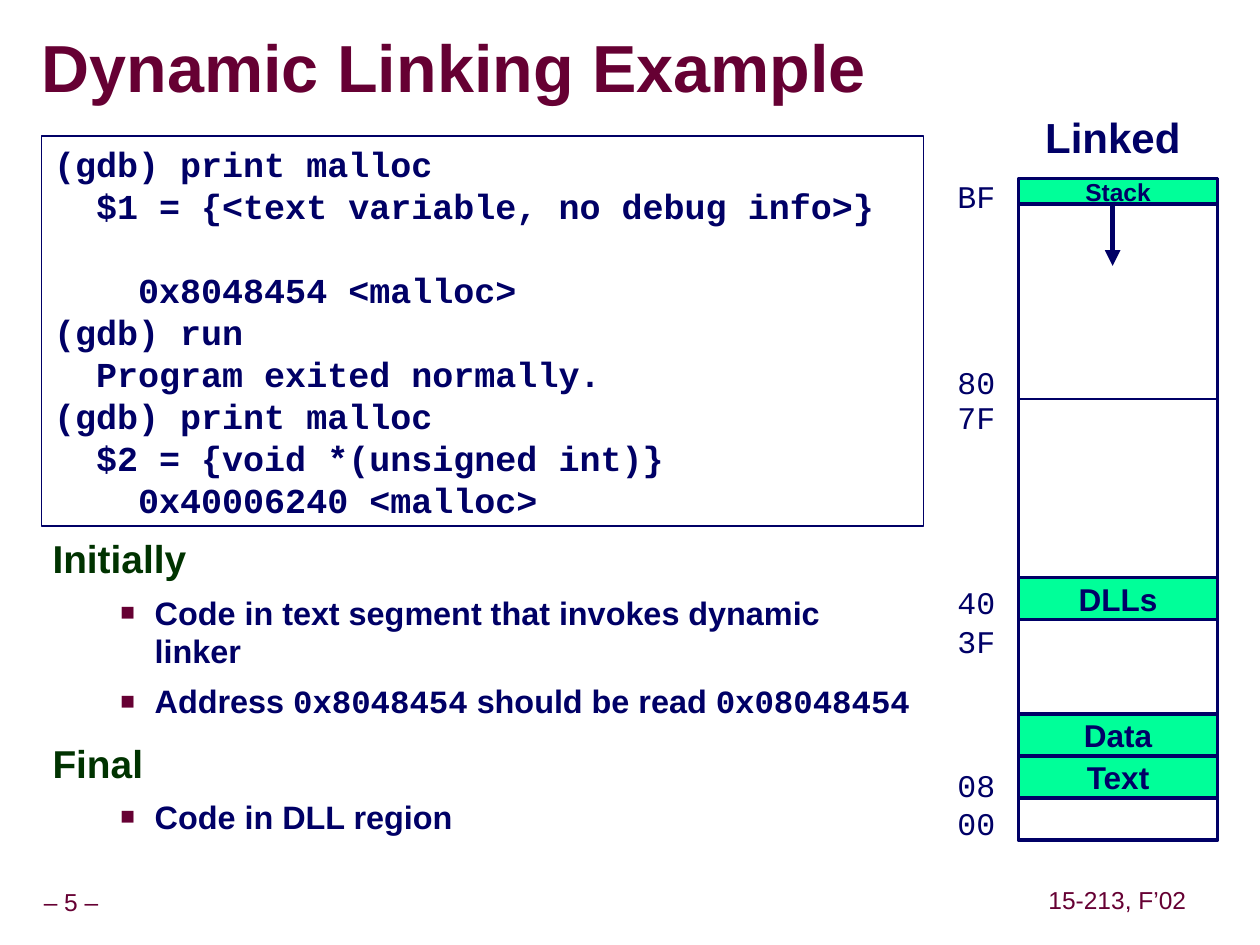
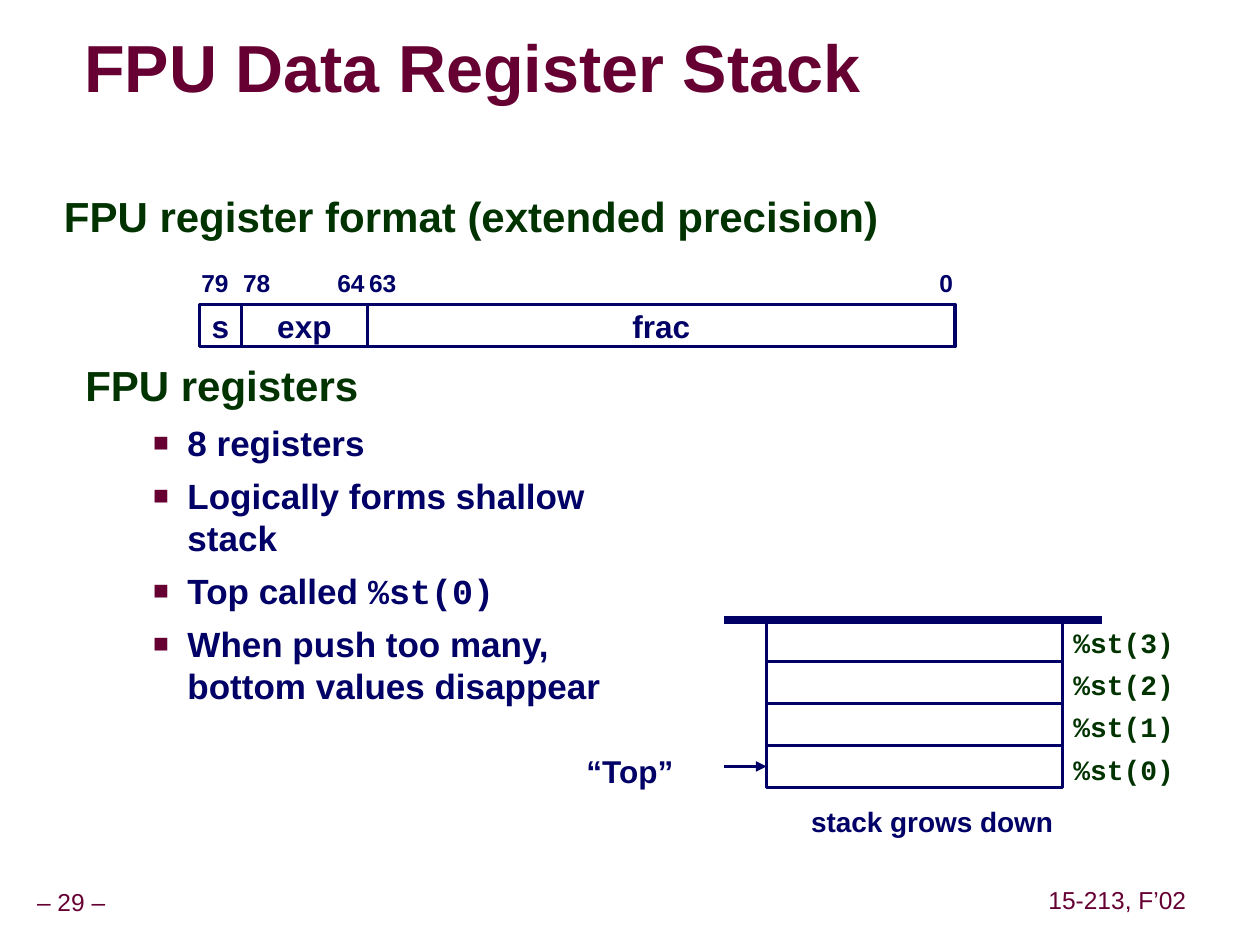
"""Build two lecture slides on dynamic linking and the FPU register stack."""
from dataclasses import dataclass
from itertools import accumulate
from typing import Optional

from lxml import etree
from pptx import Presentation
from pptx.dml.color import RGBColor
from pptx.enum import shapes, text
from pptx.oxml import ns
from pptx.util import Cm, Pt

NAVY = RGBColor(0x00, 0x00, 0x66)
WINE = RGBColor(0x66, 0x00, 0x33)
GREEN = RGBColor(0x00, 0x33, 0x00)
MINT = RGBColor(0x00, 0xFF, 0x99)
WHITE = RGBColor(0xFF, 0xFF, 0xFF)
GREY = RGBColor(0x96, 0x96, 0x96)
SANS, MONO = "Arial", "Courier New"
LEFT, MID = text.PP_ALIGN.LEFT, text.PP_ALIGN.CENTER
ROW = 0.847
PAD = 0.25


@dataclass
class Label:
    """A line of text at a place, in centimetres."""
    words: str
    left: float
    top: float
    width: float
    height: float
    size: float = 18
    font: str = SANS
    color: RGBColor = NAVY
    bold: bool = True
    align: text.PP_ALIGN = LEFT
    pad: float = PAD
    middle: bool = False


@dataclass
class Block:
    """A ruled rectangle, with or without words, in centimetres."""
    left: float
    top: float
    width: float
    height: float
    words: str = ""
    fill: Optional[RGBColor] = WHITE
    line: float = 2
    size: float = 18


@dataclass
class Rule:
    """A straight line, in centimetres."""
    start: tuple[float, float]
    end: tuple[float, float]
    width: float
    arrow: bool = False


@dataclass
class Item:
    """A heading or a bullet; backticks mark code."""
    words: str
    size: float
    bullet: bool = True
    spacing: float = 1.0


def add(parent, tag: str, **attrs: str):
    """Append a drawing element to its parent."""
    return etree.SubElement(parent, ns.qn(tag), attrs)


def style(font, size: float, color: RGBColor, name: str = SANS,
          bold: bool = True) -> None:
    """Set the look of a font."""
    font.size, font.name, font.bold = Pt(size), name, bold
    font.color.rgb = color


def inset(frame, side: float = PAD, edge: float = 0.13) -> None:
    """Set the margins of a text frame."""
    frame.margin_left = frame.margin_right = Cm(side)
    frame.margin_top = frame.margin_bottom = Cm(edge)


def put_label(slide, label: Label) -> None:
    """Draw a line of text."""
    box = slide.shapes.add_textbox(Cm(label.left), Cm(label.top),
                                   Cm(label.width), Cm(label.height))
    frame = box.text_frame
    frame.word_wrap = False
    inset(frame, label.pad)
    if label.middle:
        frame.vertical_anchor = text.MSO_ANCHOR.MIDDLE
    para = frame.paragraphs[0]
    para.text, para.alignment = label.words, label.align
    style(para.runs[0].font, label.size, label.color, label.font, label.bold)


def put_block(slide, block: Block):
    """Draw a rectangle and return it."""
    box = slide.shapes.add_shape(
        shapes.MSO_SHAPE.RECTANGLE, Cm(block.left), Cm(block.top),
        Cm(block.width), Cm(block.height))
    box.shadow.inherit = False
    if block.fill is None:
        box.fill.background()
    else:
        box.fill.solid()
        box.fill.fore_color.rgb = block.fill
    box.line.color.rgb, box.line.width = NAVY, Pt(block.line)
    frame = box.text_frame
    inset(frame)
    if block.words:
        frame.word_wrap = False
        frame.vertical_anchor = text.MSO_ANCHOR.MIDDLE
        frame.text = block.words
        para = frame.paragraphs[0]
        para.alignment = MID
        style(para.runs[0].font, block.size, NAVY)
    return box


def put_rule(slide, rule: Rule) -> None:
    """Draw a line or an arrow."""
    line = slide.shapes.add_connector(
        shapes.MSO_CONNECTOR.STRAIGHT, *map(Cm, rule.start + rule.end))
    line.line.color.rgb, line.line.width = NAVY, Pt(rule.width)
    props = line.element.spPr
    if rule.arrow:
        add(props.find(ns.qn("a:ln")), "a:tailEnd", type="triangle")
    add(props, "a:effectLst")


def put_items(slide, place: tuple[float, ...], items: list[Item]) -> None:
    """Write headings and their bullets."""
    frame = slide.shapes.add_textbox(*map(Cm, place)).text_frame
    frame.word_wrap = True
    inset(frame)
    for i, item in enumerate(items):
        para = frame.paragraphs[0] if i == 0 else frame.add_paragraph()
        para.line_spacing = item.spacing
        para.space_before = Pt(0 if i == 0 else 6.2 if item.bullet else 15)
        if item.bullet:
            props = para._p.get_or_add_pPr()
            props.set("marL", str(Cm(2.06)))
            props.set("indent", str(Cm(-0.69)))
            add(add(props, "a:buClr"), "a:srgbClr", val=str(WINE))
            add(props, "a:buSzPct", val="75000")
            add(props, "a:buFont", typeface=SANS)
            add(props, "a:buChar", char="■")
        for j, part in enumerate(item.words.split("`")):
            if part:
                run = para.add_run()
                run.text = part
                style(run.font, item.size, NAVY if item.bullet else GREEN,
                      MONO if j % 2 else SANS)


def put_code(slide, block: Block, lines: list[str], gap: int) -> None:
    """Write code in a frame, with a gap before one line."""
    frame = put_block(slide, block).text_frame
    frame.word_wrap = True
    frame.vertical_anchor = text.MSO_ANCHOR.TOP
    frame.text = "\n".join(lines)
    for i, para in enumerate(frame.paragraphs):
        para.alignment, para.line_spacing = LEFT, Pt(24)
        para.space_before = Pt(24 if i == gap else 0)
        style(para.runs[0].font, 20, NAVY, MONO)


def start(deck, title: str, left: float, width: float, page: int):
    """Add a slide with its title and footers."""
    slide = deck.slides.add_slide(deck.slide_layouts[5])
    head = slide.shapes.title
    head.left, head.top = Cm(left), Cm(0.64)
    head.width, head.height = Cm(width), Cm(1.6)
    frame = head.text_frame
    frame.text = title
    frame.word_wrap = True
    frame.vertical_anchor = text.MSO_ANCHOR.MIDDLE
    inset(frame, 0, 0)
    para = frame.paragraphs[0]
    para.alignment, para.line_spacing = LEFT, 0.87
    font = para.runs[0].font
    style(font, 38, WINE)
    shade = etree.Element(ns.qn("a:effectLst"))
    cast = add(shade, "a:outerShdw", dist=str(Cm(0.13)), dir="2700000")
    add(cast, "a:srgbClr", val=str(GREY))
    para.runs[0]._r.rPr.find(ns.qn("a:solidFill")).addnext(shade)
    for words, x, y, wide in ((f"– {page} –", -0.23, 17.78, 3.33),
                              ("15-213, F’02", 21, 17.75, 3.05)):
        put_label(slide, Label(words, x, y, wide, 0.79, 14, color=WINE,
                               bold=False, align=MID, pad=0.13, middle=True))
    return slide


def linking(deck) -> None:
    """Build the dynamic linking slide."""
    slide = start(deck, "Dynamic Linking Example", 0.84, 19.89, 5)
    put_code(slide, Block(0.84, 2.74, 17.78, 7.87, fill=None, line=1), [
        "(gdb) print malloc",
        "  $1 = {<text variable, no debug info>}",
        "    0x8048454 <malloc>",
        "(gdb) run",
        "  Program exited normally.",
        "(gdb) print malloc",
        "  $2 = {void *(unsigned int)}",
        "    0x40006240 <malloc>"], gap=2)
    put_items(slide, (0.81, 10.8, 17.83, 7.11), [
        Item("Initially", 22.2, False, 0.85),
        Item("Code in text segment that invokes dynamic linker", 18.5),
        Item("Address `0x8048454` should be read `0x08048454`", 18.5),
        Item("Final", 22.2, False, 0.85),
        Item("Code in DLL region", 18.5)])
    left, top, wide, part = 20.53, 3.6, 4.02, 4.445
    put_label(slide, Label("Linked", left, 2.11, 3.81, 1.27, 24, align=MID))
    for i in range(3):
        put_block(slide, Block(left, top + i * part, wide, part, line=0.75))
    put_block(slide, Block(left, top, wide, 3 * part, fill=None))
    for words, y, high, size in (("Stack", top, 0.51, 14),
                                 ("DLLs", 11.64, ROW, 18),
                                 ("Data", 14.39, ROW, 18),
                                 ("Text", 15.24, ROW, 18)):
        put_block(slide, Block(left, y, wide, high, words, MINT, size=size))
    put_rule(slide, Rule((22.43, 4.09), (22.43, 5.36), 3, True))
    for words, y in (("BF", 3.43), ("80", 7.19), ("7F", 7.9), ("40", 11.63),
                     ("3F", 12.4), ("08", 15.32), ("00", 16.08)):
        put_label(slide, Label(words, 19.05, y, 1.27, 1.02, font=MONO,
                               bold=False))


def registers(deck) -> None:
    """Build the FPU register slide."""
    slide = start(deck, "FPU Data Register Stack", 1.7, 18.59, 29)
    put_items(slide, (1.04, 3.78, 17.25, 1.42), [
        Item("FPU register format (extended precision)", 24, False, 0.95)])
    wides = (ROW, 2.54, 11.85)
    for words, wide, x in zip(("s", "exp", "frac"), wides,
                              accumulate(wides, initial=4.02)):
        put_block(slide, Block(x, 6.14, wide, ROW, words))
    for words, x in (("79", 3.81), ("78", 4.65), ("64", 6.55),
                     ("63", 7.19), ("0", 18.69)):
        wide = 0.53 + 0.26 * len(words)
        put_label(slide, Label(words, x, 5.28, wide, 0.86, 14))
    put_items(slide, (1.47, 7.19, 11.43, 9.96), [
        Item("FPU registers", 24, False, 0.95),
        Item("8 registers", 20),
        Item("Logically forms shallow stack", 20),
        Item("Top called `%st(0)`", 20),
        Item("When push too many, bottom values disappear", 20)])
    put_label(slide, Label("stack grows down", 16.1, 16.08, 5.38, 0.94, 16))
    left, top = 15.45, 12.49
    for i in range(4):
        y = top + i * ROW
        put_block(slide, Block(left, y, 5.97, ROW))
        put_label(slide, Label(f"%st({3 - i})", 21.39, y, 2.54, 0.94, 16,
                               MONO, GREEN))
    put_label(slide, Label("“Top”", 11.33, 15.03, 2.74, 1.02, align=MID))
    put_rule(slide, Rule((14.6, 15.45), (left, 15.45), 2, True))
    put_rule(slide, Rule((14.6, top), (22.22, top), 4.5))


def main() -> None:
    """Build and save the deck."""
    deck = Presentation()
    deck.slide_width, deck.slide_height = Cm(25.4), Cm(19.05)
    linking(deck)
    registers(deck)
    deck.save("out.pptx")


if __name__ == "__main__":
    main()
